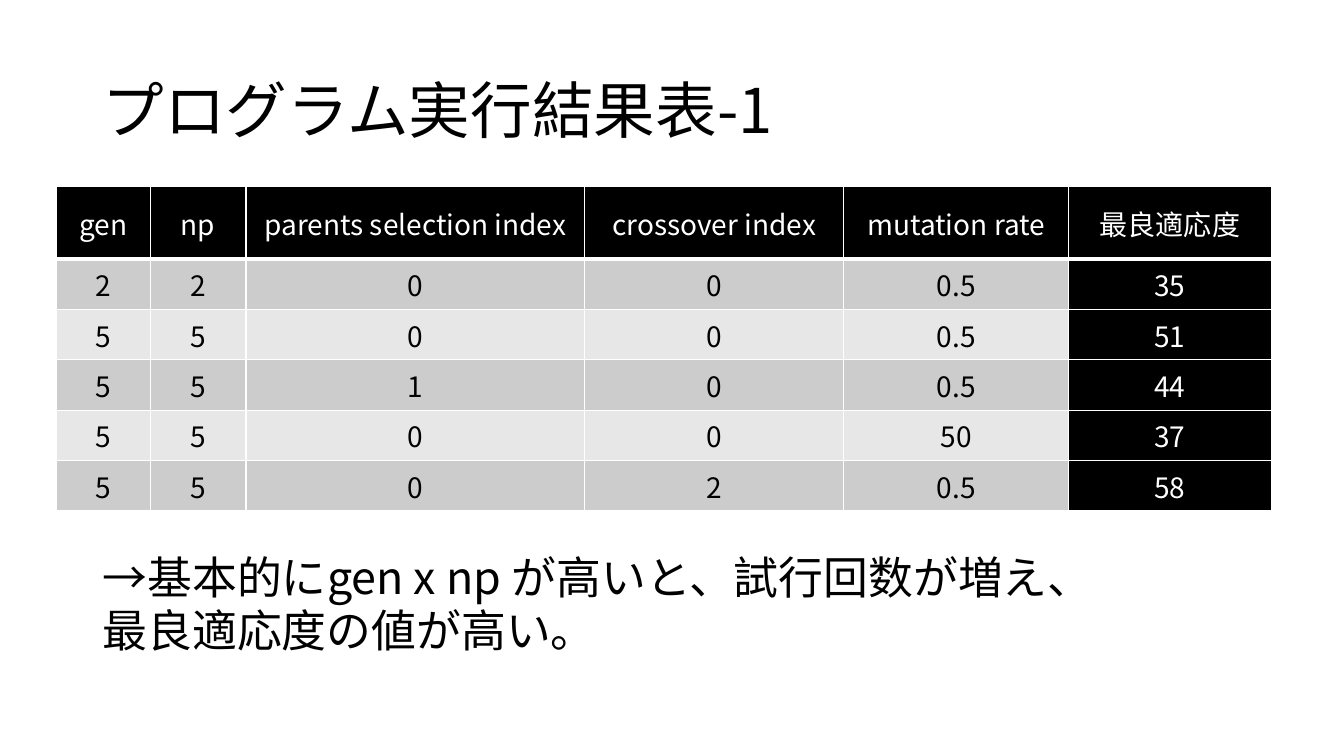
import pptx
import pptx.util
import pptx.dml.color
import pptx.enum.text
import pptx.oxml.ns
from lxml import etree

Inches, Pt = pptx.util.Inches, pptx.util.Pt
Anchor, Align = pptx.enum.text.MSO_ANCHOR, pptx.enum.text.PP_ALIGN

# Content
TITLE = "プログラム実行結果表-1"
HEADER = ["gen", "np", "parents selection index", "crossover index", "mutation rate", "最良適応度"]
RESULTS = [
    ["2", "2", "0", "0", "0.5", "35"],
    ["5", "5", "0", "0", "0.5", "51"],
    ["5", "5", "1", "0", "0.5", "44"],
    ["5", "5", "0", "0", "50", "37"],
    ["5", "5", "0", "2", "0.5", "58"],
]
REMARK = "→基本的にgen x np が高いと、試行回数が増え、最良適応度の値が高い。"

THEME = {
    "font": "Noto Sans CJK JP",
    "dark": "000000", "light": "FFFFFF", "bands": ["CCCCCC", "E7E7E7"],
    "title": 44, "cell": 20, "remark": 32,
    "rule": 1, "header_rule": 3,
}

# Layout in inches
TITLE_BOX = (0.92, 0.4, 11.5, 1.45)
REMARK_BOX = (0.92, 5.4, 10.18, 1.18)
TABLE_LEFT, TABLE_TOP = 0.56, 1.85
COLUMN_WIDTHS = [0.93, 0.95, 3.36, 2.57, 2.23, 2.01]
ROW_HEIGHTS = [0.72] + [0.5] * len(RESULTS)


def style_text(para, size, color):
    for span in para.runs:
        span.font.name = THEME["font"]
        span.font.size = Pt(size)
        span.font.bold = False
        span.font.color.rgb = pptx.dml.color.RGBColor.from_string(color)
        east_asian = etree.SubElement(span.font._element, pptx.oxml.ns.qn("a:ea"))
        east_asian.set("typeface", THEME["font"])


def add_text(page, place, text, size, anchor):
    box = page.shapes.add_textbox(*map(Inches, place))
    frame = box.text_frame
    frame.word_wrap = True
    frame.vertical_anchor = anchor
    frame.text = text
    style_text(frame.paragraphs[0], size, THEME["dark"])
    return frame


def add_borders(cell, bottom):
    properties = cell._tc.get_or_add_tcPr()
    for side, width in (("L", THEME["rule"]), ("R", THEME["rule"]), ("T", THEME["rule"]), ("B", bottom)):
        line = etree.SubElement(properties, pptx.oxml.ns.qn("a:ln" + side), w=str(Pt(width)))
        fill = etree.SubElement(line, pptx.oxml.ns.qn("a:solidFill"))
        etree.SubElement(fill, pptx.oxml.ns.qn("a:srgbClr"), val=THEME["light"])


def add_results(page):
    rows = [HEADER] + RESULTS
    frame = page.shapes.add_table(
        len(rows), len(HEADER), Inches(TABLE_LEFT), Inches(TABLE_TOP),
        Inches(sum(COLUMN_WIDTHS)), Inches(sum(ROW_HEIGHTS)))
    table = frame.table
    table.last_col = True
    for column, width in zip(table.columns, COLUMN_WIDTHS):
        column.width = Inches(width)
    for r, values in enumerate(rows):
        table.rows[r].height = Inches(ROW_HEIGHTS[r])
        for c, value in enumerate(values):
            cell = table.cell(r, c)
            is_dark = r == 0 or c == len(HEADER) - 1
            # Borders go in before the fill, as the file format orders them
            add_borders(cell, THEME["header_rule"] if r == 0 else THEME["rule"])
            cell.fill.solid()
            fill = THEME["dark"] if is_dark else THEME["bands"][(r - 1) % 2]
            cell.fill.fore_color.rgb = pptx.dml.color.RGBColor.from_string(fill)
            cell.vertical_anchor = Anchor.MIDDLE
            cell.text_frame.text = value
            para = cell.text_frame.paragraphs[0]
            para.alignment = Align.CENTER
            style_text(para, THEME["cell"], THEME["light"] if is_dark else THEME["dark"])


def main():
    deck = pptx.Presentation()
    deck.slide_width, deck.slide_height = Inches(13.33), Inches(7.5)
    page = deck.slides.add_slide(deck.slide_layouts[6])

    # Title, table, remark
    title = add_text(page, TITLE_BOX, TITLE, THEME["title"], Anchor.MIDDLE)
    title.paragraphs[0].line_spacing = 0.9
    add_results(page)
    remark = add_text(page, REMARK_BOX, REMARK, THEME["remark"], Anchor.TOP)
    remark.auto_size = pptx.enum.text.MSO_AUTO_SIZE.SHAPE_TO_FIT_TEXT

    deck.save("out.pptx")


if __name__ == "__main__":
    main()
